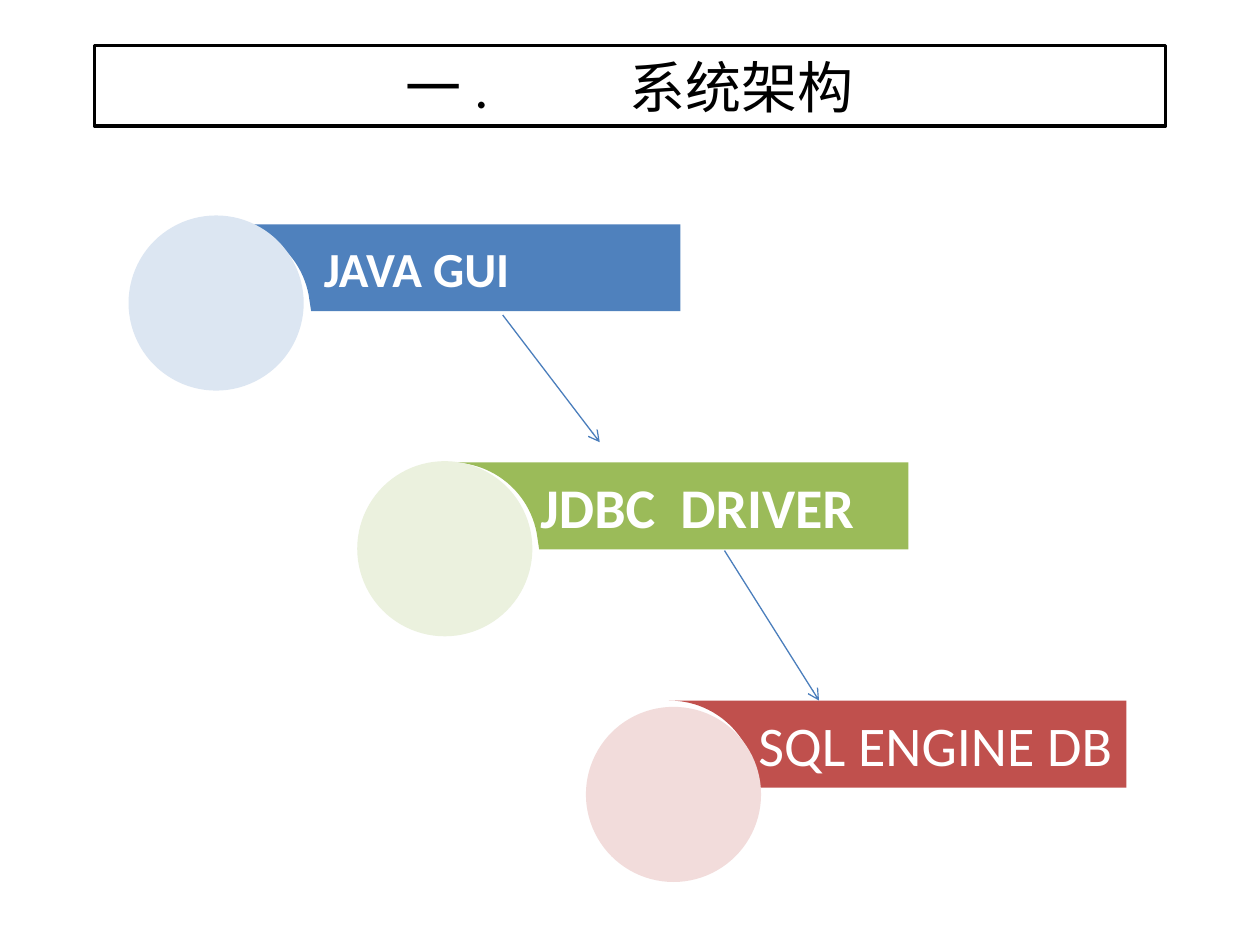
from lxml import etree
from pptx import Presentation
from pptx.dml.color import RGBColor
from pptx.enum.shapes import MSO_CONNECTOR, MSO_SHAPE
from pptx.enum.text import MSO_ANCHOR, PP_ALIGN
from pptx.oxml.ns import qn
from pptx.util import Inches, Pt

WHITE = RGBColor(0xFF, 0xFF, 0xFF)
BLACK = RGBColor(0x00, 0x00, 0x00)
BLUE, PALE_BLUE = RGBColor(0x4F, 0x81, 0xBD), RGBColor(0xDC, 0xE6, 0xF2)
GREEN, PALE_GREEN = RGBColor(0x9B, 0xBB, 0x59), RGBColor(0xEB, 0xF1, 0xDE)
RED, PALE_RED = RGBColor(0xC0, 0x50, 0x4D), RGBColor(0xF2, 0xDC, 0xDB)
ARROW = RGBColor(0x4B, 0x7E, 0xBC)

# Staircase of layers, in inches
BAR_W, BAR_H, BAR_TOP, BAR_STEP = 3.63, 0.69, 1.78, 1.89
CIRCLE = 1.39
CIRCLE_LEFT, CIRCLE_TOP = 1.02, 1.71
CIRCLE_DX, CIRCLE_DY = BAR_W / 2, 1.95
# Bezier control points of the bar's hollow corner, from its lower end
HOLLOW = [(0.68, 0.56), (0.62, 0.24), (0.34, 0), (0, 0)]
CURVE_STEPS = 24


def write(sp, text, size=32, bold=False, color=WHITE, left=0.71, tab=None):
    """Put one line of text in a shape, with an optional tab stop in inches."""
    tf = sp.text_frame
    tf.word_wrap = True
    tf.vertical_anchor = MSO_ANCHOR.MIDDLE
    tf.margin_left, tf.margin_right = Inches(left), Inches(0.1)
    tf.margin_top = tf.margin_bottom = Inches(0.05)
    p = tf.paragraphs[0]
    p.alignment = PP_ALIGN.LEFT
    if tab:
        tabs = etree.SubElement(p._p.get_or_add_pPr(), qn("a:tabLst"))
        etree.SubElement(tabs, qn("a:tab"), pos=str(Inches(tab)), algn="l")
    r = p.add_run()
    r.text = text
    r.font.name, r.font.size, r.font.bold = "Calibri", Pt(size), bold
    r.font.color.rgb = color


def paint(sp, fill, line=None):
    sp.shadow.inherit = False
    sp.fill.solid()
    sp.fill.fore_color.rgb = fill
    if line is None:
        sp.line.fill.background()
    else:
        sp.line.color.rgb = line
        sp.line.width = Pt(2)


def add_preset(s, kind, x, y, w, h, fill, line=None):
    sp = s.shapes.add_shape(kind, Inches(x), Inches(y), Inches(w), Inches(h))
    paint(sp, fill, line)
    return sp


def bezier(t):
    weights = ((1 - t) ** 3, 3 * t * (1 - t) ** 2, 3 * t * t * (1 - t), t ** 3)
    return tuple(sum(k * pt[axis] for k, pt in zip(weights, HOLLOW))
                 for axis in (0, 1))


def add_bar(s, x, y, fill):
    """A bar whose lower left corner is hollowed to follow its circle."""
    outline = [(BAR_W, 0), (BAR_W, BAR_H), (0.7, BAR_H)]
    outline += [bezier(i / CURVE_STEPS) for i in range(CURVE_STEPS)]
    fb = s.shapes.build_freeform(Inches(x), Inches(y))
    fb.add_line_segments([(Inches(x + dx), Inches(y + dy))
                          for dx, dy in outline], close=True)
    sp = fb.convert_to_shape()
    paint(sp, fill)
    return sp


def add_arrow(s, x1, y1, x2, y2):
    c = s.shapes.add_connector(MSO_CONNECTOR.STRAIGHT, Inches(x1), Inches(y1),
                               Inches(x2), Inches(y2))
    c.line.color.rgb = ARROW
    c.line.width = Pt(0.75)
    props = c._element.spPr
    etree.SubElement(props.find(qn("a:ln")), qn("a:tailEnd"), type="arrow")
    etree.SubElement(props, qn("a:effectLst"))


def main():
    prs = Presentation()
    prs.slide_width, prs.slide_height = Inches(10), Inches(7.5)
    s = prs.slides.add_slide(prs.slide_layouts[6])

    # Title
    title = add_preset(s, MSO_SHAPE.RECTANGLE, 0.75, 0.36, 8.5, 0.64, WHITE, BLACK)
    write(title, "一 .\t系统架构", color=BLACK, left=2.47, tab=1.78)

    # Layers: bar left, colours, label and its format
    layers = [
        (1.77, BLUE, PALE_BLUE, "JAVA GUI", dict(size=28, bold=True, left=0.8)),
        (3.58, GREEN, PALE_GREEN, "JDBC\tDRIVER", dict(bold=True, tab=1.11)),
        (5.31, RED, PALE_RED, "SQL ENGINE DB", {}),
    ]
    for i, (x, fill, pale, label, fmt) in enumerate(layers):
        write(add_bar(s, x, BAR_TOP + i * BAR_STEP, fill), label, **fmt)
        add_preset(s, MSO_SHAPE.OVAL, CIRCLE_LEFT + i * CIRCLE_DX,
                   CIRCLE_TOP + i * CIRCLE_DY, CIRCLE, CIRCLE, pale)

    # Arrows from layer to layer
    add_arrow(s, 3.99, 2.5, 4.76, 3.51)
    add_arrow(s, 5.75, 4.37, 6.5, 5.56)

    prs.save("out.pptx")


if __name__ == "__main__":
    main()
